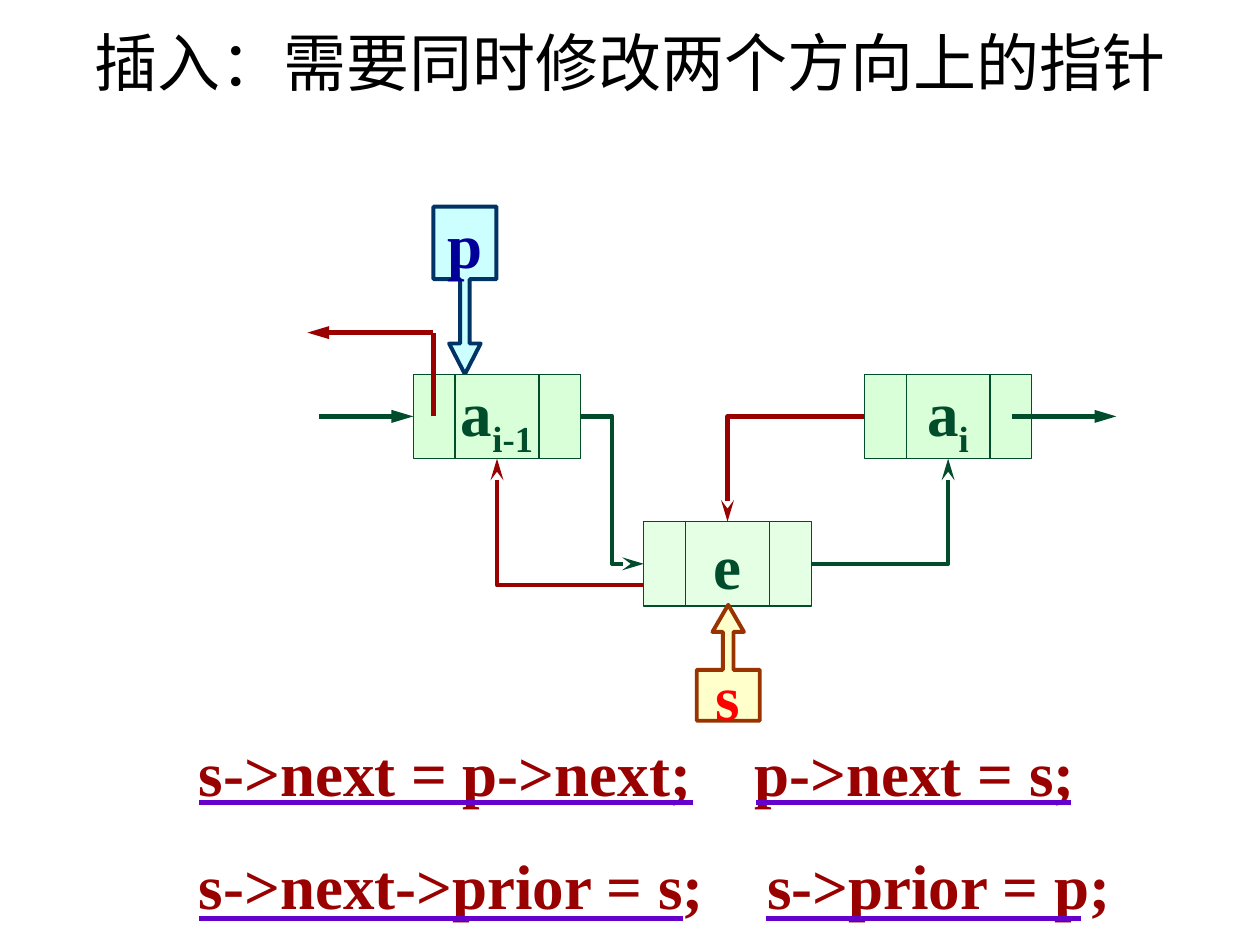
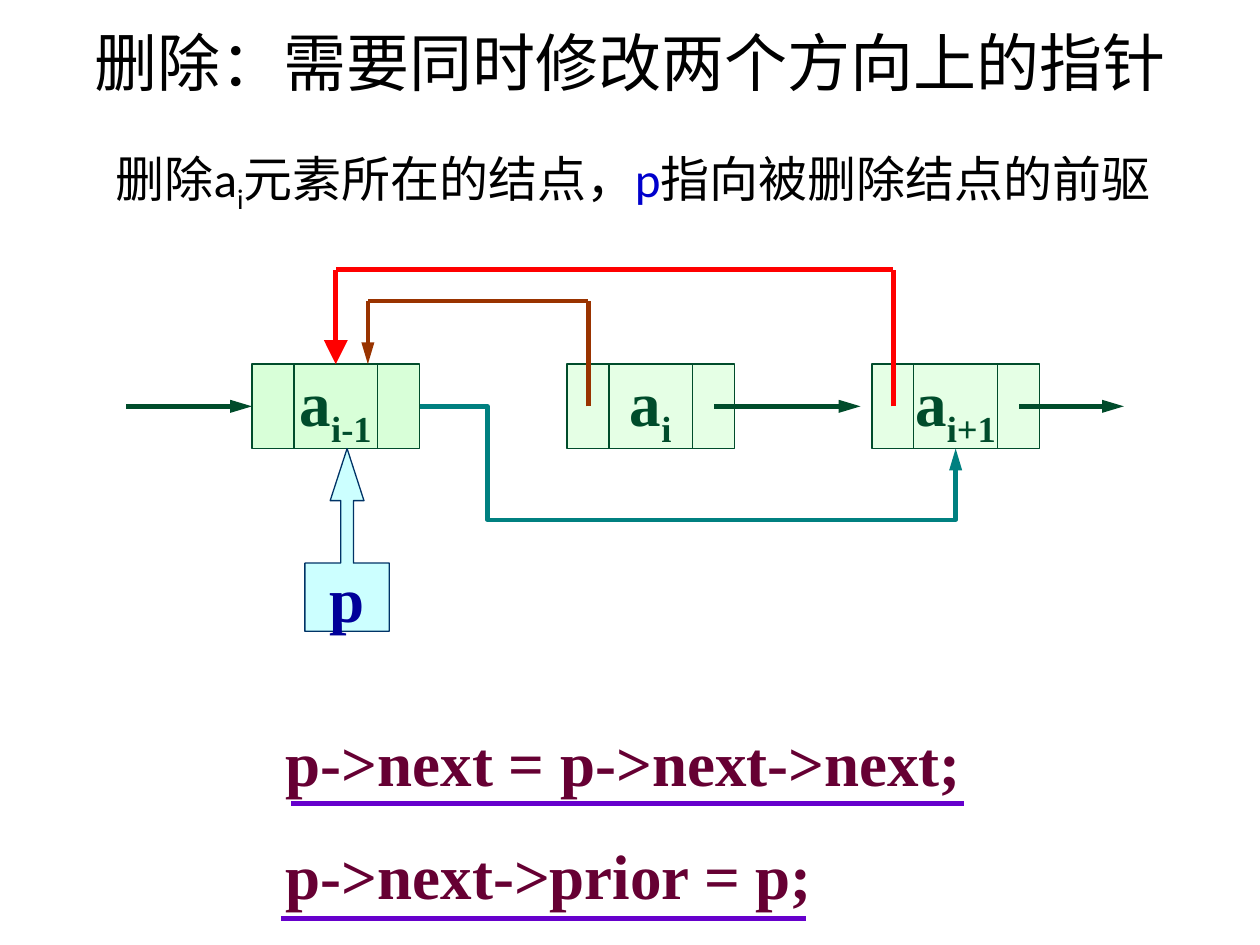
from dataclasses import dataclass

from lxml.etree import SubElement
from pptx import Presentation
from pptx.dml.color import RGBColor
from pptx.enum.shapes import MSO_CONNECTOR, MSO_SHAPE
from pptx.enum.text import MSO_ANCHOR, PP_ALIGN
from pptx.oxml.ns import qn
from pptx.util import Inches, Pt

BLACK = RGBColor(0x00, 0x00, 0x00)
GREEN = RGBColor(0x00, 0x4C, 0x2B)
PALE_GREEN = RGBColor(0xE5, 0xFF, 0xE5)
LIGHT_GREEN = RGBColor(0xD8, 0xFF, 0xD8)
DARK_RED = RGBColor(0x99, 0x00, 0x00)
RED = RGBColor(0xFF, 0x00, 0x00)
BROWN = RGBColor(0x99, 0x33, 0x00)
TEAL = RGBColor(0x00, 0x80, 0x80)
PALE_CYAN = RGBColor(0xCC, 0xFF, 0xFF)
NAVY = RGBColor(0x00, 0x33, 0x66)
DEEP_BLUE = RGBColor(0x00, 0x00, 0x99)
BLUE = RGBColor(0x00, 0x00, 0xCC)
PALE_YELLOW = RGBColor(0xFF, 0xFF, 0xCC)
PLUM = RGBColor(0x66, 0x00, 0x33)
VIOLET = RGBColor(0x66, 0x00, 0xCC)

BODY_FONT = "Calibri"
SERIF_FONT = "Times New Roman"
NODE_WIDTH, NODE_HEIGHT = 1.33, 0.67
POINTER_WEIGHT = 2.5


@dataclass
class Box:
    left: float
    top: float
    width: float
    height: float

    @property
    def right(self):
        return self.left + self.width

    @property
    def bottom(self):
        return self.top + self.height

    @property
    def centre(self):
        return self.left + self.width / 2

    @property
    def middle(self):
        return self.top + self.height / 2

    def inner(self, across, down, width=NODE_WIDTH, height=NODE_HEIGHT):
        return Box(self.left + across, self.top + down, width, height)

    def lengths(self):
        return [Inches(value) for value in (self.left, self.top, self.width, self.height)]


def serif(color):
    return {"name": SERIF_FONT, "size": Pt(36), "bold": True, "color": color}


def body(color, size=28):
    return {"name": BODY_FONT, "size": Pt(size), "color": color}


def add_span(para, text, style, subscript=False):
    span = para.add_run()
    span.text = text
    for name, value in style.items():
        if name == "color":
            span.font.color.rgb = value
        else:
            setattr(span.font, name, value)
    if subscript:
        span._r.get_or_add_rPr().set("baseline", "-25000")


def add_title(page, text):
    title = page.shapes.title
    box = Box(0.5, 0.05, 9, 0.87)
    for name, value in zip(("left", "top", "width", "height"), box.lengths()):
        setattr(title, name, value)
    title.text_frame.vertical_anchor = MSO_ANCHOR.MIDDLE
    para = title.text_frame.paragraphs[0]
    para.alignment = PP_ALIGN.CENTER
    add_span(para, text, body(BLACK, 36))


def add_labelled_shape(page, kind, box, fill, outline, weight, label, color, index=""):
    shape = page.shapes.add_shape(kind, *box.lengths())
    shape.shadow.inherit = False
    shape.fill.solid()
    shape.fill.fore_color.rgb = fill
    shape.line.color.rgb = outline
    shape.line.width = Pt(weight)
    frame = shape.text_frame
    frame.word_wrap = False
    frame.vertical_anchor = MSO_ANCHOR.MIDDLE
    para = frame.paragraphs[0]
    para.alignment = PP_ALIGN.CENTER
    add_span(para, label, serif(color))
    if index:
        add_span(para, index, serif(color), subscript=True)
    return shape


def add_callout(page, kind, box, adjustments, *look):
    shape = add_labelled_shape(page, kind, box, *look)
    for position, value in enumerate(adjustments):
        shape.adjustments[position] = value


def add_line(page, start, end, color, weight=POINTER_WEIGHT, head=None,
             head_width="med", kind=MSO_CONNECTOR.STRAIGHT):
    line = page.shapes.add_connector(kind, *(Inches(value) for value in (*start, *end)))
    line.line.color.rgb = color
    line.line.width = Pt(weight)
    properties = line.element.spPr
    if head:
        SubElement(properties.find(qn("a:ln")), qn("a:tailEnd"),
                   type=head, w=head_width, len="lg")
    SubElement(properties, qn("a:effectLst"))
    return line


def add_route(page, points, color, head="triangle", **style):
    """Draw straight segments through the points; the last one carries the head."""
    for start, end in zip(points[:-2], points[1:-1]):
        add_line(page, start, end, color, **{**style, "head": None})
    return add_line(page, points[-2], points[-1], color, head=head, **style)


def add_elbow(page, start, end, color, bends, head="stealth", adjustments=()):
    """Draw a bent connector with the given preset number and adjustments."""
    line = add_line(page, start, end, color, head=head, kind=MSO_CONNECTOR.ELBOW)
    geometry = line.element.spPr.find(qn("a:prstGeom"))
    geometry.set("prst", f"bentConnector{bends}")
    guides = geometry.find(qn("a:avLst"))
    for number, value in enumerate(adjustments, 1):
        SubElement(guides, qn("a:gd"), name=f"adj{number}", fmla=f"val {round(value * 100000)}")


def add_node(page, box, label, index="", fill=PALE_GREEN):
    """Draw a list node: a prior field, a data field and a next field."""
    node = add_labelled_shape(page, MSO_SHAPE.RECTANGLE, box, fill, GREEN, 0.75,
                              label, GREEN, index)
    for share in (0.25, 0.75):
        across = box.left + share * box.width
        add_line(page, (across, box.top), (across, box.bottom), GREEN, 0.75)
    return node


def add_incoming_arrow(page, box, node, length):
    arrow = add_line(page, (box.left - length, box.middle), (box.left, box.middle),
                     GREEN, head="triangle")
    arrow.end_connect(node, 1)


def add_next_arrow(page, box, length):
    start = box.right - 0.16
    add_line(page, (start, box.middle), (start + length, box.middle), GREEN, head="triangle")


def add_code(page, box, rows, color, underlines):
    """Write one row per paragraph; a row is (statements, tab stop or None)."""
    frame = page.shapes.add_textbox(*box.lengths()).text_frame
    frame.word_wrap = True
    for number, (statements, tab_stop) in enumerate(rows):
        para = frame.add_paragraph() if number else frame.paragraphs[0]
        para.line_spacing = 1.5
        if tab_stop:
            tabs = SubElement(para._p.get_or_add_pPr(), qn("a:tabLst"))
            SubElement(tabs, qn("a:tab"), pos=str(Inches(tab_stop)), algn="l")
        add_span(para, "\t".join(statements), serif(color))
    for across, down, length in underlines:
        start = box.left + across, box.top + down
        add_line(page, start, (start[0] + length, start[1]), VIOLET, 3)


def add_insertion_diagram(page, box):
    before, after, new = box.inner(0.84, 1.33), box.inner(4.42, 1.33), box.inner(2.67, 2.5)
    add_callout(page, MSO_SHAPE.DOWN_ARROW_CALLOUT, box.inner(1, 0, 0.5, 1.33),
                (0.15, 0.25, 0.486, 0.433), PALE_CYAN, NAVY, 2.25, "p", DEEP_BLUE)
    before_node = add_node(page, before, "a", "i-1", LIGHT_GREEN)
    add_node(page, after, "a", "i", LIGHT_GREEN)
    add_node(page, new, "e")
    add_callout(page, MSO_SHAPE.UP_ARROW_CALLOUT, box.inner(3.09, 3.16, 0.5, 0.92),
                (0.167, 0.25, 0.431, 0.439), PALE_YELLOW, BROWN, 2.25, "s", RED)

    add_incoming_arrow(page, before, before_node, 0.75)
    add_next_arrow(page, after, 0.83)
    prior_field = before.left + 0.16
    add_route(page, [(prior_field, before.middle), (prior_field, box.top + 1),
                     (box.left, box.top + 1)], DARK_RED)
    add_elbow(page, (before.right, before.middle), (new.left, new.middle), GREEN, 3)
    add_elbow(page, (new.right, new.middle), (after.centre, after.bottom), GREEN, 2)
    add_elbow(page, (after.left, after.middle), (new.centre, new.top), DARK_RED, 2)
    add_elbow(page, (new.left, new.middle + 0.17), (before.centre, before.bottom), DARK_RED, 2)


def add_deletion_diagram(page, box):
    before, removed, after = (box.inner(across, 0.75) for across in (1, 3.5, 5.92))
    before_node = add_node(page, before, "a", "i-1", LIGHT_GREEN)
    add_node(page, removed, "a", "i")
    add_node(page, after, "a", "i+1")
    add_callout(page, MSO_SHAPE.UP_ARROW_CALLOUT, box.inner(1.42, 1.42, 0.67, 1.45),
                (0.15, 0.2, 0.617, 0.373), PALE_CYAN, NAVY, 0.75, "p", DEEP_BLUE)

    add_incoming_arrow(page, before, before_node, 1)
    add_next_arrow(page, removed, 1.16)
    add_next_arrow(page, after, 0.83)

    def add_prior_route(start, target, level, color, **style):
        across = start.left + 0.17
        return add_route(page, [(across, start.middle), (across, level), (target, level),
                                (target, before.top)], color, **style)

    add_prior_route(removed, before.left + 0.92, box.top + 0.25, BROWN)
    add_elbow(page, (before.right, before.middle), (after.centre, after.bottom), TEAL, 4,
              "triangle", (0.127, 2.688))
    bypass = add_prior_route(after, before.centre, box.top, RED, weight=2.75, head_width="lg")
    bypass.end_connect(before_node, 0)


def add_task(page, box):
    frame = page.shapes.add_textbox(*box.lengths()).text_frame
    frame.word_wrap = True
    para = frame.paragraphs[0]
    add_span(para, "删除a", body(BLACK))
    add_span(para, "i", body(BLACK), subscript=True)
    add_span(para, "元素所在的结点，", body(BLACK))
    add_span(para, "p", body(BLUE))
    add_span(para, "指向被删除结点的前驱", body(BLACK))


def add_page(deck, title):
    page = deck.slides.add_slide(deck.slide_layouts[5])
    add_title(page, title)
    return page


def add_insertion_page(deck):
    page = add_page(deck, "插入：需要同时修改两个方向上的指针")
    add_insertion_diagram(page, Box(2.44, 1.64, 6.42, 4.08))
    add_code(page, Box(1.48, 5.47, 7.6, 1.9),
             [(("s->next = p->next;", "p->next = s;"), 4.41),
              (("s->next->prior = s;", "s->prior = p;"), 4.51)], DARK_RED,
             [(0.1, 0.9, 3.92), (4.52, 0.9, 2.5), (0.1, 1.82, 3.84), (4.6, 1.82, 2.5)])


def add_deletion_page(deck):
    page = add_page(deck, "删除：需要同时修改两个方向上的指针")
    add_task(page, Box(0.82, 1.13, 8.51, 0.57))
    add_deletion_diagram(page, Box(1, 2.14, 7.92, 2.87))
    add_code(page, Box(2.17, 5.39, 5.8, 1.9),
             [(("p->next = p->next->next;",), None), (("p->next->prior = p;",), None)], PLUM,
             [(0.14, 0.99, 5.34), (0.06, 1.9, 4.17)])


def main():
    deck = Presentation()
    deck.slide_width, deck.slide_height = Inches(10), Inches(7.5)
    add_insertion_page(deck)
    add_deletion_page(deck)
    deck.save("out.pptx")


if __name__ == "__main__":
    main()
